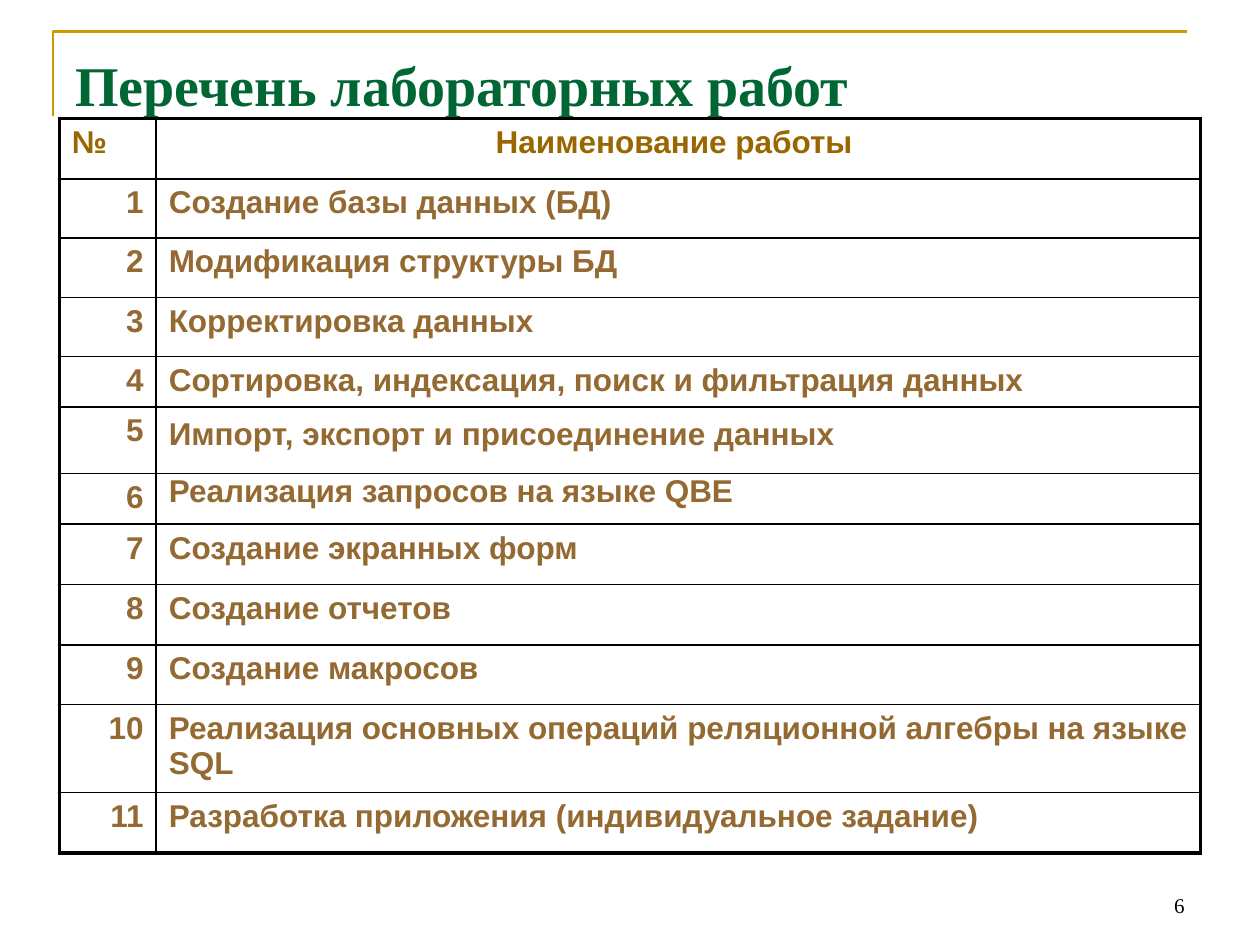
import lxml.etree
import pptx
import pptx.dml.color
import pptx.enum.shapes
import pptx.enum.text
import pptx.oxml.ns
import pptx.util

Inches = pptx.util.Inches
Pt = pptx.util.Pt
RGBColor = pptx.dml.color.RGBColor
PP_ALIGN = pptx.enum.text.PP_ALIGN
MSO_ANCHOR = pptx.enum.text.MSO_ANCHOR
qn = pptx.oxml.ns.qn

GOLD = RGBColor(0xCC, 0x99, 0x00)
GREEN = RGBColor(0x00, 0x66, 0x33)
OCHRE = RGBColor(0x99, 0x66, 0x00)
BROWN = RGBColor(0x94, 0x6A, 0x32)
BLACK = RGBColor(0x00, 0x00, 0x00)
WHITE = RGBColor(0xFF, 0xFF, 0xFF)

HEADER = ("№", "Наименование работы ")
LABS = [
    "Создание базы данных (БД)",
    "Модификация структуры БД",
    "Корректировка данных",
    "Сортировка, индексация, поиск и фильтрация данных",
    "Импорт, экспорт и присоединение данных",
    "Реализация запросов на языке QBE",
    "Создание экранных форм",
    "Создание отчетов",
    "Создание макросов",
    "Реализация основных операций реляционной алгебры на языке SQL",
    "Разработка приложения (индивидуальное задание)",
]
TIGHT_LABS = (5, 6)
TALL_LAB = 5
COLUMN_WIDTHS = (0.77, 8.29)
ROW_HEIGHTS = (0.48, 0.47, 0.47, 0.47, 0.4, 0.53, 0.4, 0.48, 0.48, 0.47, 0.66, 0.48)


def style_font(font, name, size, color, bold=False):
    font.name = name
    font.size = Pt(size)
    font.color.rgb = color
    font.bold = bold


def add_frame_corner(slide):
    builder = slide.shapes.build_freeform(Inches(0.42), Inches(0.92))
    builder.add_line_segments(
        [(Inches(0.42), Inches(0.25)), (Inches(9.42), Inches(0.25))], close=False
    )
    corner = builder.convert_to_shape()
    corner.shadow.inherit = False
    corner.fill.background()
    corner.line.color.rgb = GOLD
    corner.line.width = Pt(1.5)


def add_footer_rule(slide):
    rule = slide.shapes.add_connector(
        pptx.enum.shapes.MSO_CONNECTOR.STRAIGHT,
        Inches(0.5), Inches(6.75), Inches(9.5), Inches(6.75),
    )
    rule.line.color.rgb = GOLD
    rule.line.width = Pt(1.5)
    lxml.etree.SubElement(rule.element.spPr, qn("a:effectLst"))


def add_text(slide, text, left, top, width, height):
    frame = slide.shapes.add_textbox(
        Inches(left), Inches(top), Inches(width), Inches(height)
    ).text_frame
    frame.word_wrap = True
    frame.text = text
    return frame


def add_title(slide):
    title = add_text(slide, "Перечень лабораторных работ", 0.5, 0.3, 9, 1.25)
    title.margin_top = Inches(0.1)
    style_font(title.paragraphs[0].font, "Times New Roman", 32, GREEN, bold=True)


def add_page_number(slide):
    number = add_text(slide, "6", 7.17, 6.83, 2.33, 0.5)
    number.vertical_anchor = MSO_ANCHOR.BOTTOM
    number.paragraphs[0].alignment = PP_ALIGN.RIGHT
    style_font(number.paragraphs[0].font, "Times New Roman", 12, BLACK)


def set_borders(cell, outer_sides):
    properties = cell._tc.get_or_add_tcPr()
    for position, side in enumerate("LRTB"):
        width = Pt(2.25 if side in outer_sides else 1)
        border = lxml.etree.Element(qn(f"a:ln{side}"), w=str(width))
        fill = lxml.etree.SubElement(border, qn("a:solidFill"))
        lxml.etree.SubElement(fill, qn("a:srgbClr"), val=str(BLACK))
        properties.insert(position, border)


def fill_cell(cell, text, color, alignment, outer_sides):
    cell.text = text
    cell.fill.solid()
    cell.fill.fore_color.rgb = WHITE
    paragraph = cell.text_frame.paragraphs[0]
    paragraph.alignment = alignment
    style_font(paragraph.font, "Arial", 18, color, bold=True)
    set_borders(cell, outer_sides)
    return paragraph


def add_lab_table(slide):
    table = slide.shapes.add_table(
        len(ROW_HEIGHTS), len(COLUMN_WIDTHS), Inches(0.47), Inches(0.94),
        Inches(sum(COLUMN_WIDTHS)), Inches(sum(ROW_HEIGHTS)),
    ).table
    table.first_row = False
    table.horz_banding = False
    for column, width in zip(table.columns, COLUMN_WIDTHS):
        column.width = Inches(width)
    for row, height in zip(table.rows, ROW_HEIGHTS):
        row.height = Inches(height)

    fill_cell(table.cell(0, 0), HEADER[0], OCHRE, PP_ALIGN.LEFT, "LT")
    fill_cell(table.cell(0, 1), HEADER[1], OCHRE, PP_ALIGN.CENTER, "RT")
    for number, lab in enumerate(LABS, start=1):
        bottom = "B" if number == len(LABS) else ""
        fill_cell(table.cell(number, 0), str(number), BROWN, PP_ALIGN.RIGHT, "L" + bottom)
        name = fill_cell(table.cell(number, 1), lab, BROWN, PP_ALIGN.LEFT, "R" + bottom)
        if number in TIGHT_LABS:
            name.line_spacing = 0.8
        if number == TALL_LAB:
            tall_space = name.add_run()
            tall_space.text = " "
            tall_space.font.size = Pt(26)


def main():
    presentation = pptx.Presentation()
    presentation.slide_width = Inches(10)
    presentation.slide_height = Inches(7.5)
    slide = presentation.slides.add_slide(presentation.slide_layouts[6])
    add_frame_corner(slide)
    add_footer_rule(slide)
    add_title(slide)
    add_lab_table(slide)
    add_page_number(slide)
    presentation.save("out.pptx")


if __name__ == "__main__":
    main()
